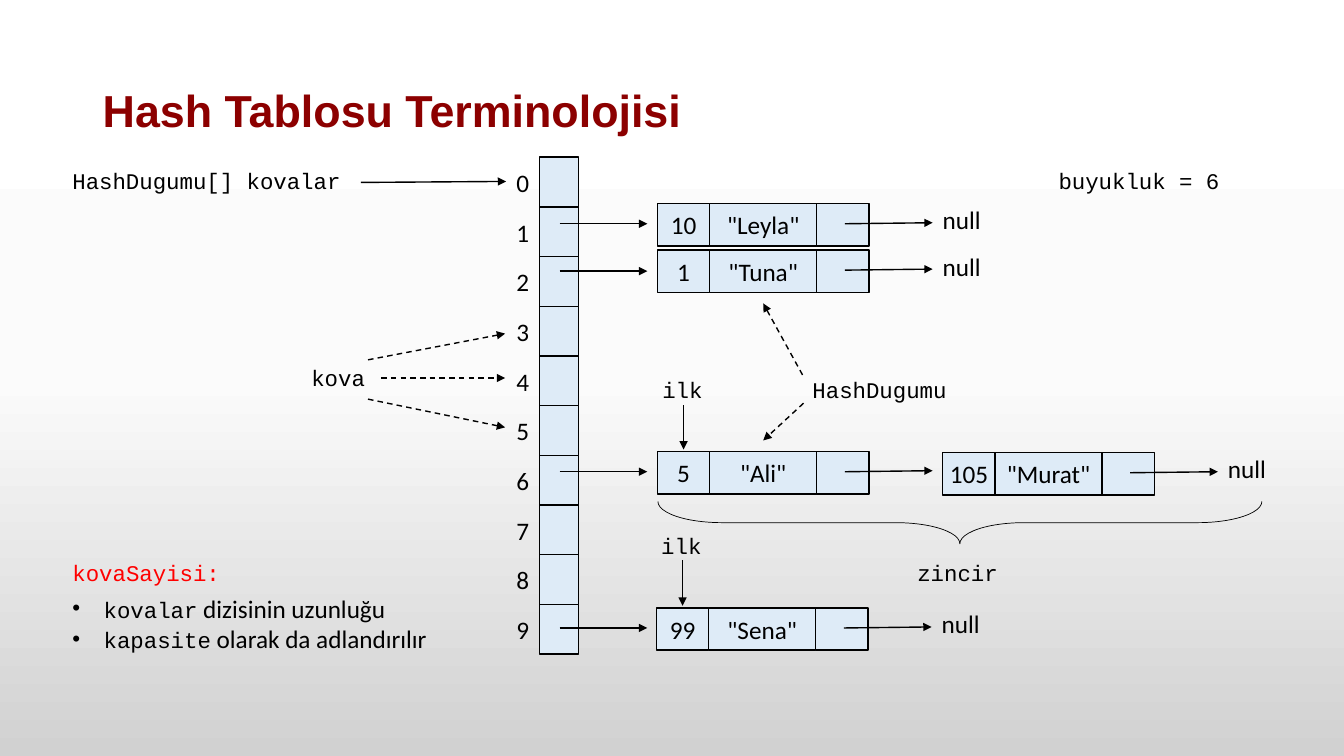
"""Builds a slide on hash table terminology: buckets, nodes and chains."""
import copy

import lxml.etree
import pptx
import pptx.dml.color
import pptx.enum.dml
import pptx.enum.shapes
import pptx.enum.text
import pptx.oxml.ns
import pptx.util
from pptx.util import Inches

SHAPE = pptx.enum.shapes.MSO_SHAPE
ALIGN = pptx.enum.text.PP_ALIGN
ANCHOR = pptx.enum.text.MSO_ANCHOR
KEY_W, VALUE_W, NODE_H = 0.52, 1.06, 0.42


def rgb(value):
    return pptx.dml.color.RGBColor.from_string(value)


def sub(parent, tag, **attrs):
    return lxml.etree.SubElement(parent, pptx.oxml.ns.qn(tag), **attrs)


class HashSlide:
    ink, cell_fill, title_ink, accent = "000000", "DEEBF7", "8C0000", "FF0000"
    body, code, heading = ("Calibri", 18), ("Courier New", 16), ("Arial", 32)

    def __init__(self, prs):
        self.s = prs.slides.add_slide(prs.slide_layouts[6])

    def background(self, stops):
        fill = self.s.background.fill
        fill.gradient()
        fill.gradient_angle = 270
        first = self.s.element.xpath(".//a:gsLst/a:gs")[0]
        for _ in stops[2:]:
            first.addnext(copy.deepcopy(first))
        for stop, (position, color) in zip(fill.gradient_stops, stops):
            stop.position = position
            stop.color.rgb = rgb(color)

    def style(self, font, face, color=ink, bold=False):
        font.name, size = face
        font.size = pptx.util.Pt(size)
        font.color.rgb = rgb(color)
        font.bold = bold

    def text(self, x, y, w, h, words, face=body, align=ALIGN.LEFT):
        sp = self.s.shapes.add_textbox(Inches(x), Inches(y), Inches(w), Inches(h))
        tf = sp.text_frame
        tf.word_wrap = False
        p = tf.paragraphs[0]
        p.text = words
        p.alignment = align
        self.style(p.font, face)
        return tf

    def title(self, words):
        tf = self.text(0.92, 0.4, 11.5, 1.45, words, self.heading)
        tf.word_wrap = True
        tf.vertical_anchor = ANCHOR.MIDDLE
        p = tf.paragraphs[0]
        p.line_spacing = 0.9
        self.style(p.font, self.heading, self.title_ink, True)

    def definition(self, x, y, w, h, term, items):
        tf = self.text(x, y, w, h, term, self.code)
        tf.word_wrap = True
        p = tf.paragraphs[0]
        p.space_after = pptx.util.Pt(5)
        self.style(p.font, self.code, self.accent)
        for name, rest in items:
            p = tf.add_paragraph()
            pPr = p._p.get_or_add_pPr()
            pPr.set("marL", str(Inches(0.31)))
            pPr.set("indent", str(-Inches(0.31)))
            sub(pPr, "a:buFont", typeface="Arial")
            sub(pPr, "a:buChar", char="•")
            for words, face in ((name, self.code), (rest, self.body)):
                r = p.add_run()
                r.text = words
                self.style(r.font, face)

    def cell(self, x, y, w, h, words=""):
        sp = self.s.shapes.add_shape(SHAPE.RECTANGLE, Inches(x), Inches(y), Inches(w), Inches(h))
        sp.shadow.inherit = False
        sp.fill.solid()
        sp.fill.fore_color.rgb = rgb(self.cell_fill)
        sp.line.color.rgb = rgb(self.ink)
        sp.line.width = pptx.util.Pt(1)
        tf = sp.text_frame
        tf.vertical_anchor = ANCHOR.MIDDLE
        tf.margin_left = tf.margin_right = tf.margin_top = tf.margin_bottom = 0
        if words:
            p = tf.paragraphs[0]
            p.text = words
            p.alignment = ALIGN.CENTER
            self.style(p.font, self.body)

    def arrow(self, x1, y1, x2, y2, dashed=False):
        c = self.s.shapes.add_connector(
            pptx.enum.shapes.MSO_CONNECTOR.STRAIGHT, Inches(x1), Inches(y1), Inches(x2), Inches(y2))
        c.line.color.rgb = rgb(self.ink)
        c.line.width = pptx.util.Pt(1)
        if dashed:
            c.line.dash_style = pptx.enum.dml.MSO_LINE.DASH
        spPr = c.element.spPr
        sub(spPr.find(pptx.oxml.ns.qn("a:ln")), "a:tailEnd", type="triangle")
        sub(spPr, "a:effectLst")

    def node(self, x, y, key, value, last=True):
        self.cell(x + KEY_W, y, VALUE_W, NODE_H, value)
        self.cell(x + KEY_W + VALUE_W, y, KEY_W, NODE_H)
        self.cell(x, y, KEY_W, NODE_H, key)
        self.arrow(x + 1.86, y + 0.2, x + 2.73, y + 0.19)
        if last:
            self.text(x + 2.73, y - 0.04, 0.58, 0.4, "null")

    def brace(self, x, y, w, h):
        sp = self.s.shapes.add_shape(SHAPE.LEFT_BRACE, Inches(x), Inches(y), Inches(w), Inches(h))
        sp.rotation = 270
        sp.adjustments[0] = 1.512
        sp.adjustments[1] = 0.5
        sp.shadow.inherit = False
        sp.fill.background()
        sp.line.color.rgb = rgb(self.ink)
        sp.line.width = pptx.util.Pt(0.5)


def main():
    prs = pptx.Presentation()
    prs.slide_width, prs.slide_height = Inches(13.33), Inches(7.5)
    slide = HashSlide(prs)
    slide.background([(0, "FFFFFF"), (0.5, "FBFBFB"), (1, "D1D1D1")])
    slide.title("Hash Tablosu Terminolojisi")

    bucket_h = 4.93 / 10
    for i in range(10):
        slide.cell(5.35, 1.56 + i * bucket_h, 0.39, bucket_h)
        slide.text(5.02, 1.61 + i * bucket_h, 0.33, 0.4, str(i), align=ALIGN.CENTER)

    for x, y, key, value, last in (
        (6.52, 2.02, "10", '"Leyla"', True),
        (6.52, 2.48, "1", '"Tuna"', True),
        (6.52, 4.48, "5", '"Ali"', False),
        (9.35, 4.49, "105", '"Murat"', True),
        (6.51, 6.03, "99", '"Sena"', True),
    ):
        slide.node(x, y, key, value, last)
    for y in (2.22, 2.69, 4.68, 6.23):
        slide.arrow(5.55, y, 6.42, y)

    for x, y, w, words in (
        (0.62, 1.61, 2.9, "HashDugumu[] kovalar"),
        (2.99, 3.56, 0.74, "kova"),
        (7.96, 3.68, 1.55, "HashDugumu"),
        (6.47, 3.68, 0.61, "ilk"),
        (6.46, 5.23, 0.61, "ilk"),
        (9, 5.5, 1.01, "zincir"),
        (10.4, 1.61, 1.82, "buyukluk = 6"),
    ):
        slide.text(x, y, w, 0.37, words, slide.code)

    slide.arrow(3.58, 1.81, 5.02, 1.8)
    slide.arrow(6.78, 4.02, 6.78, 4.46)
    slide.arrow(6.77, 5.56, 6.77, 6.01)
    for ends in (
        (3.65, 3.57, 5.01, 3.31),
        (3.78, 3.75, 5.01, 3.75),
        (3.65, 3.96, 5.01, 4.24),
        (7.97, 4, 7.57, 4.37),
        (7.96, 3.72, 7.57, 3.01),
    ):
        slide.arrow(*ends, dashed=True)

    slide.brace(9.31, 2.19, 0.42, 5.99)
    slide.definition(0.62, 5.5, 4.01, 1.05, "kovaSayisi:", [
        ("kovalar", " dizisinin uzunluğu"),
        ("kapasite", " olarak da adlandırılır"),
    ])
    prs.save("out.pptx")


if __name__ == "__main__":
    main()
